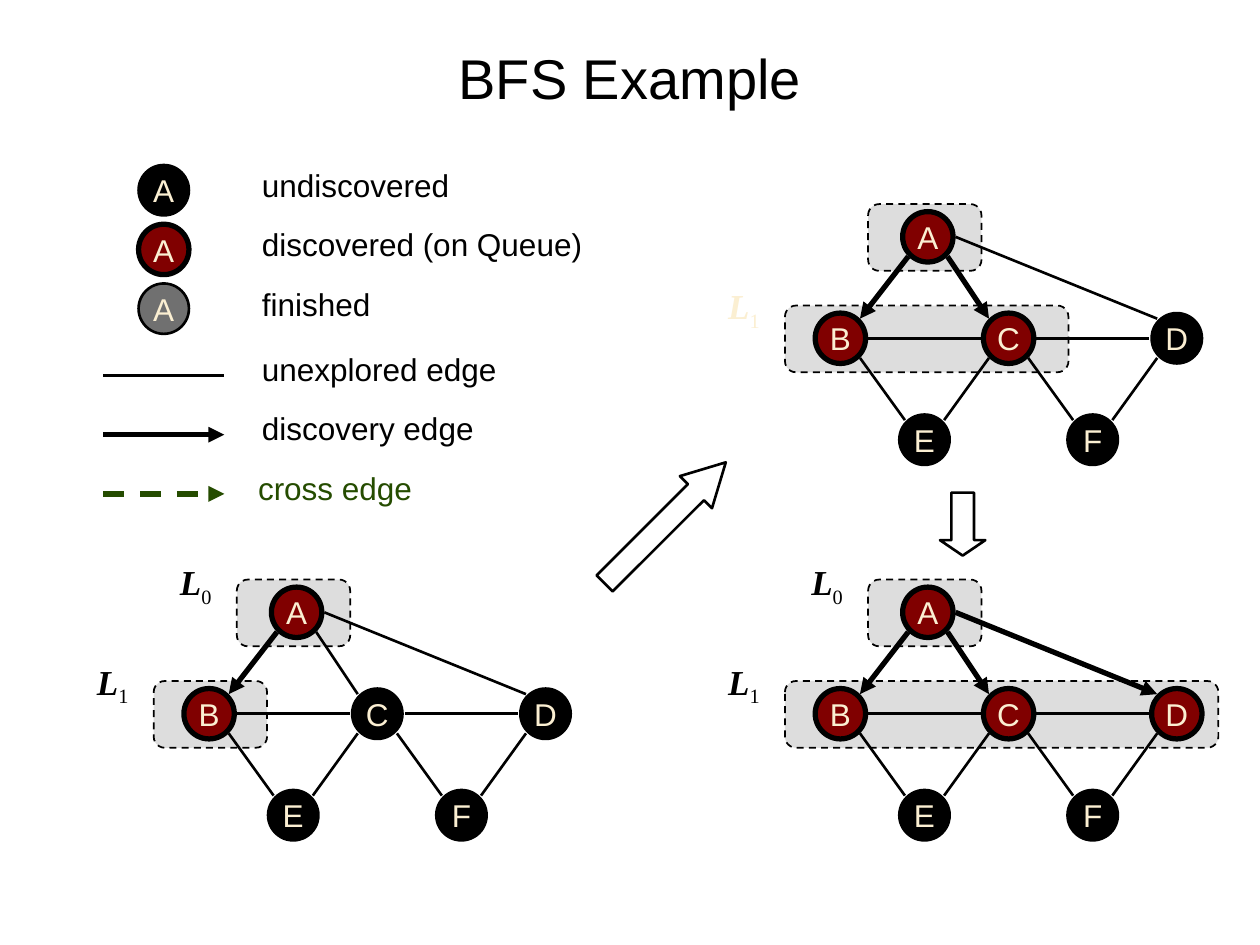
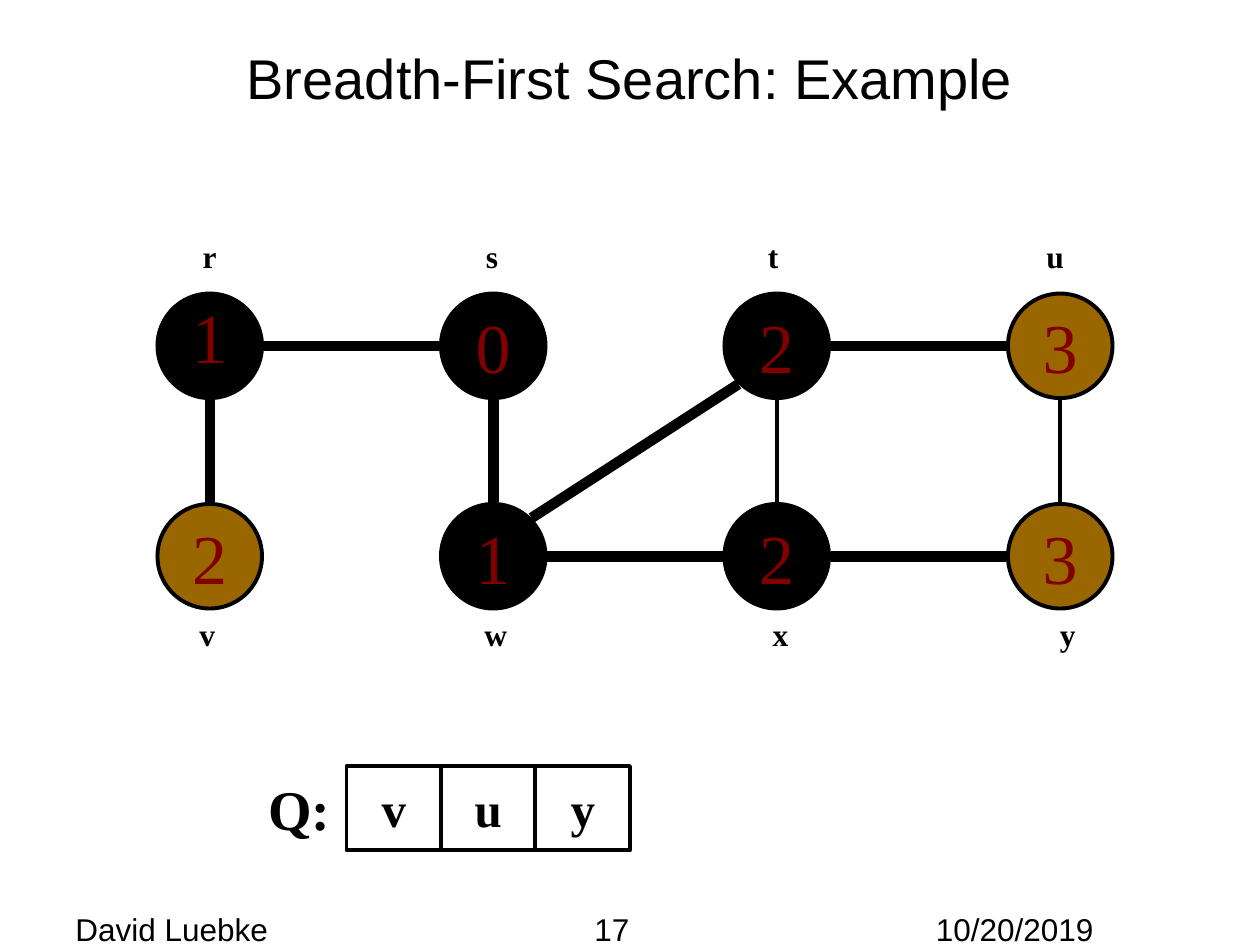
from dataclasses import dataclass

from lxml.etree import SubElement
from pptx import Presentation
from pptx.dml.color import RGBColor
from pptx.enum.dml import MSO_LINE
from pptx.enum.shapes import MSO_CONNECTOR, MSO_SHAPE
from pptx.enum.text import MSO_ANCHOR, PP_ALIGN
from pptx.oxml.ns import qn
from pptx.util import Inches, Pt

# The slide is a grid of 10 columns by 7.5 rows; every length counts its cells
COLUMNS, ROWS = 10, 7.5
CELL = Inches(1)

BLACK = RGBColor(0x00, 0x00, 0x00)
CREAM = RGBColor(0xFB, 0xEF, 0xD2)
MAROON = RGBColor(0x80, 0x00, 0x00)
GRAY = RGBColor(0x70, 0x70, 0x70)
BAND_GRAY = RGBColor(0xDD, 0xDD, 0xDD)
GREEN = RGBColor(0x25, 0x4C, 0x00)
OCHRE = RGBColor(0x99, 0x66, 0x00)
SANS, SERIF = "Arial", "Times New Roman"

NODE = 0.4
THIN, THICK = 1.5, 3


@dataclass
class Box:
    left: float
    top: float
    width: float
    height: float

    def emu(self):
        return [round(n * CELL) for n in (self.left, self.top, self.width, self.height)]


def around(center, width, height):
    return Box(center[0] - width / 2, center[1] - height / 2, width, height)


# Shared parts
def add_span(para, text, size, font=SANS, color=BLACK, bold=False, italic=False):
    span = para.add_run()
    span.text = text
    span.font.size, span.font.name = Pt(size), font
    span.font.bold, span.font.italic = bold, italic
    span.font.color.rgb = color
    return span


def add_text(page, box, text, size, align=PP_ALIGN.LEFT, anchor=MSO_ANCHOR.TOP,
             wrap=True, **style):
    frame = page.shapes.add_textbox(*box.emu()).text_frame
    frame.word_wrap, frame.vertical_anchor = wrap, anchor
    para = frame.paragraphs[0]
    para.alignment = align
    if text:
        add_span(para, text, size, **style)
    return para


def add_title(page, text):
    add_text(page, Box(0.5, 0.3, COLUMNS - 1, 0.62), text, 32,
             PP_ALIGN.CENTER, MSO_ANCHOR.MIDDLE)


def add_outline(page, kind, box, width, fill=None):
    shape = page.shapes.add_shape(kind, *box.emu())
    shape.shadow.inherit = False
    if fill is None:
        shape.fill.background()
    else:
        shape.fill.solid()
        shape.fill.fore_color.rgb = fill
    shape.line.color.rgb, shape.line.width = BLACK, Pt(width)
    return shape


def add_labelled(page, kind, box, width, fill, text, size, **style):
    frame = add_outline(page, kind, box, width, fill).text_frame
    frame.margin_left = frame.margin_right = frame.margin_top = frame.margin_bottom = 0
    frame.word_wrap, frame.vertical_anchor = False, MSO_ANCHOR.MIDDLE
    para = frame.paragraphs[0]
    para.alignment = PP_ALIGN.CENTER
    add_span(para, text, size, **style)
    return para


def add_line(page, start, end, width, color=BLACK, arrow=False, dashed=False):
    ends = [round(n * CELL) for n in (*start, *end)]
    line = page.shapes.add_connector(MSO_CONNECTOR.STRAIGHT, *ends)
    line.line.color.rgb, line.line.width = color, Pt(width)
    if dashed:
        line.line.dash_style = MSO_LINE.DASH
    if arrow:
        SubElement(line.line._get_or_add_ln(), qn("a:tailEnd"), type="triangle")
    SubElement(line._element.spPr, qn("a:effectLst"))


def port(center, direction, radius):
    """Point on a circle in one of eight compass directions."""
    across, down = direction
    reach = radius / (across ** 2 + down ** 2) ** 0.5
    return center[0] + across * reach, center[1] + down * reach


def add_edge(page, centers, edge, radius, width, arrow=False):
    first, last, leave, enter = edge
    add_line(page, port(centers[first], leave, radius),
             port(centers[last], enter, radius), width, arrow=arrow)


# Legend and graphs of the first example
def add_state(page, center, letter, fill):
    width = THICK if fill == MAROON else THIN
    add_labelled(page, MSO_SHAPE.OVAL, around(center, NODE, NODE), width, fill,
                 letter, 18, color=CREAM)


def add_legend(page, box):
    row = box.height / 6
    states = [("undiscovered", BLACK), ("discovered (on Queue)", MAROON),
              ("finished", GRAY)]
    edges = [("unexplored edge", THIN, BLACK), ("discovery edge", THICK, BLACK),
             ("cross edge", THICK, GREEN)]
    text_left, text_width = box.left + 1.16, box.width - 1.16

    for i, (name, fill) in enumerate(states):
        top = box.top + i * row
        add_state(page, (box.left + 0.48, top + 0.24), "A", fill)
        add_text(page, Box(text_left, top, text_width, 0.4), name, 18)

    for i, (name, width, color) in enumerate(edges, 3):
        top = box.top + 0.05 + i * row
        add_line(page, (box.left, top + 0.25), (box.left + 0.96, top + 0.25), width,
                 color, arrow=width == THICK, dashed=color == GREEN)
        shift = 0.03 if color == GREEN else 0
        add_text(page, Box(text_left - shift, top, text_width, 0.5), name, 18,
                 color=color)


# Node places in a 4 by 2 grid, and edges with the sides they leave and enter
GRAPH_NODES = {"A": (1.04, 0), "B": (0, 1), "C": (2, 1), "D": (4, 1),
               "E": (1, 2), "F": (3, 2)}
GRAPH_EDGES = [
    ("A", "B", (-1, 1), (1, -1)), ("A", "C", (1, 1), (-1, -1)),
    ("A", "D", (1, 0), (-1, -1)), ("B", "C", (1, 0), (-1, 0)),
    ("C", "D", (1, 0), (-1, 0)), ("B", "E", (1, 1), (-1, -1)),
    ("C", "E", (-1, 1), (1, -1)), ("C", "F", (1, 1), (-1, -1)),
    ("D", "F", (-1, 1), (1, -1)),
]


def add_level(page, box, number, color):
    para = add_text(page, box, "", 20)
    add_span(para, "L", 20, SERIF, color, bold=True, italic=True)
    index = add_span(para, str(number), 20, SERIF, color)
    index.font._element.set("baseline", "-25000")


def add_graph(page, box, discovered, band_width, levels):
    column, row = (box.width - NODE) / 4, (box.height - NODE) / 2
    left, top = box.left + NODE / 2, box.top + NODE / 2
    centers = {name: (left + x * column, top + y * row)
               for name, (x, y) in GRAPH_NODES.items()}

    # Level bands
    bands = [Box(left + 0.22, top - 0.26, 0.9, 0.53),
             Box(left - 0.44, top + row - 0.26, band_width, 0.53)]
    for band in bands:
        shape = add_outline(page, MSO_SHAPE.ROUNDED_RECTANGLE, band, 1, BAND_GRAY)
        shape.line.dash_style = MSO_LINE.DASH

    # Edges and nodes
    for edge in GRAPH_EDGES:
        found = edge[0] == "A" and edge[1] in discovered
        add_edge(page, centers, edge, 0.22, THICK if found else THIN, found)
    for name, center in centers.items():
        add_state(page, center, name, MAROON if name in discovered else BLACK)

    # Level names
    for number, color in levels.items():
        place = Box(box.left - 0.13 - number * 0.66, box.top - 0.26 + number * 0.79,
                    0.51, 0.43)
        add_level(page, place, number, color)


def add_step_arrow(page, box, angle, head):
    arrow = add_outline(page, MSO_SHAPE.RIGHT_ARROW, box, THIN)
    arrow.adjustments[0], arrow.adjustments[1] = 0.5, head
    arrow.rotation = angle


def build_states_slide(page):
    add_title(page, "BFS Example")
    add_legend(page, Box(0.82, 1.27, 4, 2.82))
    wide, tall = 3.07, 2.01
    add_graph(page, Box(1.46, 4.66, wide, tall), "AB", 0.9, {0: BLACK, 1: BLACK})
    add_graph(page, Box(6.47, 1.68, wide, tall), "ABC", 2.25, {1: CREAM})
    add_graph(page, Box(6.47, 4.66, wide, tall), "ABCD", 3.44, {0: BLACK, 1: BLACK})
    add_step_arrow(page, Box(4.6, 3.97, 1.36, 0.36), -45, 0.93)
    add_step_arrow(page, Box(7.39, 3.98, 0.5, 0.36), 90, 0.34)


# Search graph, queue and footer of the second example
# Vertex: column, row, distance, fill, sideways shift of its name
VERTICES = {
    "r": (0, 0, "1", BLACK, 0), "s": (1, 0, "0", BLACK, -0.01),
    "t": (2, 0, "2", BLACK, -0.03), "u": (3, 0, "3", OCHRE, -0.04),
    "v": (0, 1, "2", OCHRE, -0.02), "w": (1, 1, "1", BLACK, 0.02),
    "x": (2, 1, "2", BLACK, 0.03), "y": (3, 1, "3", OCHRE, 0.06),
}
DOWN, UP, RIGHT, LEFT = (0, 1), (0, -1), (1, 0), (-1, 0)
TREE_EDGES = [("r", "v", DOWN, UP), ("r", "s", RIGHT, LEFT), ("s", "w", DOWN, UP),
              ("w", "t", (1, -1), (-1, 1)), ("w", "x", RIGHT, LEFT),
              ("t", "u", RIGHT, LEFT), ("x", "y", RIGHT, LEFT)]
OTHER_EDGES = [("t", "x", DOWN, UP), ("u", "y", DOWN, UP)]


def add_search(page, box):
    size = 0.83
    column, row = (box.width - size) / 3, box.height - size
    centers = {}
    for name, (x, y, distance, fill, shift) in VERTICES.items():
        center = (box.left + size / 2 + x * column, box.top + size / 2 + y * row)
        centers[name] = center
        para = add_labelled(page, MSO_SHAPE.OVAL, around(center, size, size), 2.25,
                            fill, distance, 40, font=SERIF, color=MAROON)
        if name == "r":
            para.line_spacing = 0.7
        name_top = box.top + box.height if y else box.top - 0.5
        add_text(page, Box(center[0] + shift - 0.25, name_top, 0.5, 0.43), name, 18,
                 PP_ALIGN.CENTER, wrap=False, font=SERIF, bold=True)
    for edges, width in ((TREE_EDGES, 6), (OTHER_EDGES, 2.25)):
        for edge in edges:
            add_edge(page, centers, edge, 0.43, width)


def add_queue(page, box, names):
    width = box.width / (len(names) + 1)
    add_text(page, Box(box.left, box.top, width, box.height), "Q:", 32,
             PP_ALIGN.CENTER, MSO_ANCHOR.MIDDLE, wrap=False, font=SERIF, bold=True)
    for i, name in enumerate(names, 1):
        place = Box(box.left + i * width, box.top, width, box.height)
        add_labelled(page, MSO_SHAPE.RECTANGLE, place, 2.25, None, name, 28,
                     font=SERIF, bold=True)


def add_footer(page, texts, stops):
    para = add_text(page, Box(0.5, ROWS - 0.33, COLUMNS - 1, 0.33), "", 18)
    tabs = SubElement(para._p.get_or_add_pPr(), qn("a:tabLst"))
    for stop in stops:
        SubElement(tabs, qn("a:tab"), pos=str(round(stop * CELL)), algn="l")
    add_span(para, "\t".join(texts), 18)


def build_search_slide(page):
    add_title(page, "Breadth-First Search: Example")
    add_search(page, Box(1.25, 2.33, 7.58, 2.5))
    add_queue(page, Box(2, 6.08, 3, 0.67), "vuy")
    add_footer(page, ["David Luebke", "17", "10/20/2019"], [4.12, 6.83])


def main():
    deck = Presentation()
    deck.slide_width, deck.slide_height = COLUMNS * CELL, int(ROWS * CELL)
    for build in (build_states_slide, build_search_slide):
        build(deck.slides.add_slide(deck.slide_layouts[6]))
    deck.save("out.pptx")


if __name__ == "__main__":
    main()
